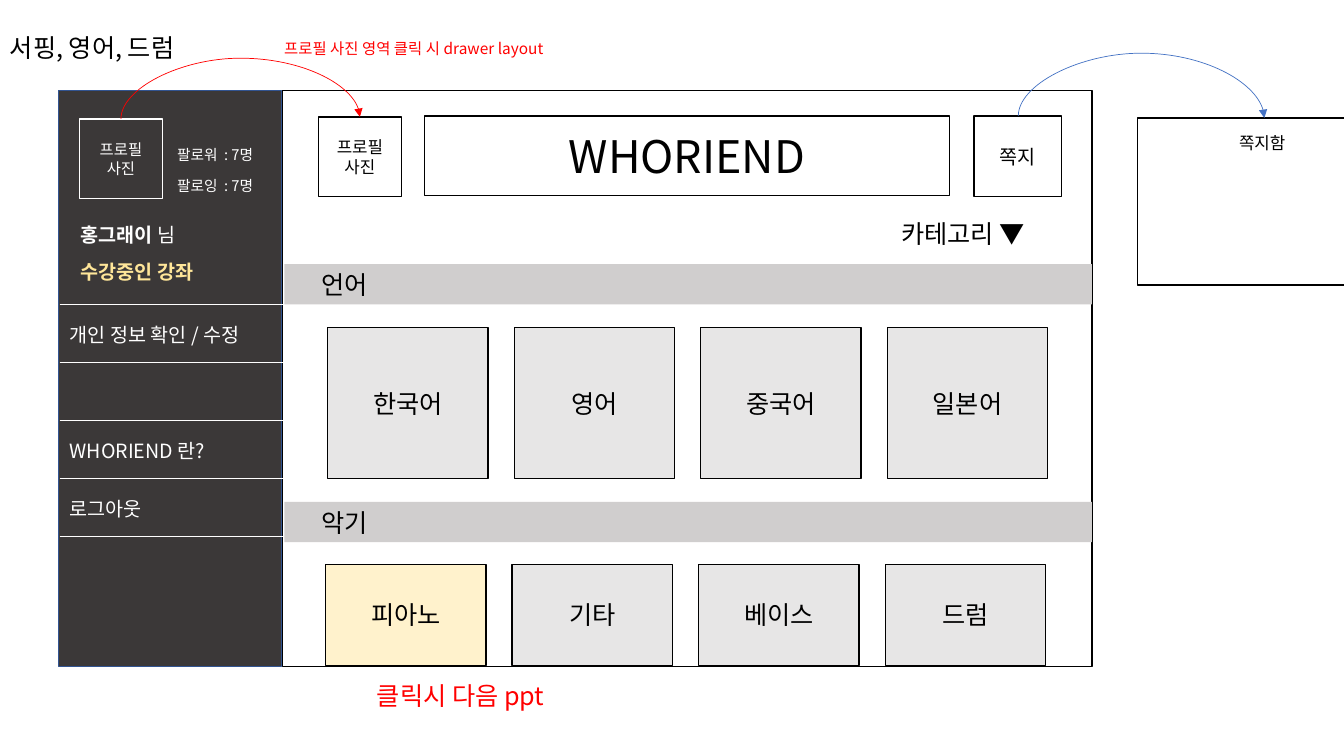
from lxml.etree import SubElement
from pptx import Presentation
from pptx.dml.color import RGBColor
from pptx.enum.shapes import MSO_CONNECTOR as Connector, MSO_SHAPE as Shape
from pptx.enum.text import MSO_ANCHOR as Anchor, MSO_AUTO_SIZE as AutoSize, PP_ALIGN as Align
from pptx.oxml import parse_xml
from pptx.oxml.ns import nsdecls, qn
from pptx.util import Inches, Pt

FONT = "Noto Sans CJK KR"
BLACK, WHITE, RED, BLUE = "000000", "FFFFFF", "FF0000", "4472C4"
DARK, NAVY, GRAY, LIGHT = "3B3838", "325491", "D0CECE", "E7E6E6"
CREAM, GOLD = "FFF2CC", "FFE699"
NO_STYLE = "{2D5ABB26-0587-4C30-8999-92F81FD0307C}"


def color(target, hex_color):
    """Give a fill or a line fill a solid colour, or none at all."""
    if hex_color:
        target.solid()
        target.fore_color.rgb = RGBColor.from_string(hex_color)
    else:
        target.background()


def write(frame, *parts, size=18, ink=BLACK, align=Align.LEFT, anchor=Anchor.TOP, wrap=True):
    """Write one paragraph of (text, bold) parts into a text frame."""
    frame.auto_size = AutoSize.NONE
    frame.word_wrap = wrap
    frame.vertical_anchor = anchor
    paragraph = frame.paragraphs[0]
    paragraph.alignment = align
    for text, bold in parts:
        run = paragraph.add_run()
        run.text = text
        font = run.font
        font.name, font.size, font.bold = FONT, Pt(size), bold
        font.color.rgb = RGBColor.from_string(ink)
        SubElement(font._element, qn("a:ea"), typeface=FONT)


def outline(shape, fill, line):
    """Set the fill and the one-point line of a shape."""
    color(shape.fill, fill)
    color(shape.line.fill, line)
    if line:
        shape.line.width = Pt(1)


def block(slide, box, text="", fill=None, line=BLACK, **style):
    """Add a rectangle with centred text."""
    shape = slide.shapes.add_shape(Shape.RECTANGLE, *map(Inches, box))
    shape.shadow.inherit = False
    outline(shape, fill, line)
    if text:
        write(shape.text_frame, (text, False),
              **{"align": Align.CENTER, "anchor": Anchor.MIDDLE, **style})
    return shape


def label(slide, box, *parts, wrap=False, **style):
    """Add a text box."""
    text_box = slide.shapes.add_textbox(*map(Inches, box))
    write(text_box.text_frame, *parts, wrap=wrap, **style)


def arc(slide, start, end, depth, hex_color):
    """Add a curved arrow that bulges upwards between two points."""
    (x1, y1), (x2, y2) = start, end
    center_x, center_y = (x1 + x2) / 2, (y1 + y2) / 2
    half_drop, half_span = abs(y2 - y1) / 2, (x2 - x1) / 2
    sign = 1 if y1 > y2 else -1
    ends = (center_x + half_drop, center_y + sign * half_span,
            center_x - half_drop, center_y - sign * half_span)
    arrow = slide.shapes.add_connector(Connector.CURVE, *map(Inches, ends))
    color(arrow.line.fill, hex_color)
    arrow.line.width = Pt(0.5)
    SubElement(arrow.line._get_or_add_ln(), qn("a:tailEnd"), type="triangle")
    properties = arrow._element.spPr
    SubElement(properties, qn("a:effectLst"))
    properties.find(qn("a:xfrm")).set("rot", str((90 if sign > 0 else 270) * 60000))
    bulge = round(sign * depth / (2 * half_drop) * 100000)
    guides = properties.find(qn("a:prstGeom")).get_or_add_avLst()
    SubElement(guides, qn("a:gd"), name="adj1", fmla=f"val {bulge}")


def header(slide, box):
    """Place the app title, the profile and message buttons and the category menu."""
    left, top, width, height = box
    title = slide.shapes.title
    title.left, title.top, title.width, title.height = map(
        Inches, (left + 1.41, top + 0.25, 5.21, 0.79))
    outline(title, WHITE, BLACK)
    write(title.text_frame, ("WHORIEND", False), size=32,
          align=Align.CENTER, anchor=Anchor.MIDDLE)
    block(slide, (left + 0.36, top + 0.26, 0.82, 0.79), "프로필 사진", size=12)
    block(slide, (left + 6.86, top + 0.25, 0.87, 0.8), "쪽지", WHITE, size=14)
    label(slide, (left + 6.04, top + 1.22, 1.55, 0.4), ("카테고리 ▼", False))


def category(slide, box, name, courses, inset, gap, picked=None):
    """Place a category band with a row of course cards that fills the box below it."""
    left, top, width, height = box
    band = block(slide, (left, top, width, 0.4), name, GRAY, None, align=Align.LEFT)
    band.text_frame.margin_left = Inches(0.37)
    card_top = 0.4 + gap
    for column, course in enumerate(courses):
        block(slide, (left + inset + 1.85 * column, top + card_top, 1.59, height - card_top),
              course, CREAM if course == picked else LIGHT)


def menu(slide, box, entries):
    """Place the drawer menu as a table with white rules."""
    frame = slide.shapes.add_table(len(entries), 1, *map(Inches, box))
    table = frame.table
    table.first_row = table.horz_banding = False
    table._tbl.tblPr.find(qn("a:tableStyleId")).text = NO_STYLE
    for row, entry in enumerate(entries):
        cell = table.cell(row, 0)
        cell.fill.background()
        cell.vertical_anchor = Anchor.MIDDLE
        if entry:
            write(cell.text_frame, (entry, False), size=14, ink=WHITE, anchor=Anchor.MIDDLE)
        edges = ["lnT"] if row == len(entries) - 1 else ["lnT", "lnB"]
        for position, edge in enumerate(edges):
            rule = parse_xml(f'<a:{edge} {nsdecls("a")} w="6350"><a:solidFill>'
                             f'<a:srgbClr val="{WHITE}"/></a:solidFill></a:{edge}>')
            cell._tc.get_or_add_tcPr().insert(position, rule)


def drawer(slide, box):
    """Place the side drawer with profile, follower counts and menu."""
    left, top, width, height = box
    block(slide, box, fill=DARK, line=NAVY)
    block(slide, (left + 0.21, top + 0.28, 0.82, 0.79), "프로필 사진",
          line=WHITE, size=11, ink=WHITE)
    label(slide, (left + 0.12, top + 1.26, 1.25, 0.34),
          ("홍그래이 ", True), ("님", False), size=14, ink=WHITE)
    label(slide, (left + 0.12, top + 1.63, 1.45, 0.34),
          ("수강중인 강좌", True), size=14, ink=GOLD)
    for row, count in enumerate(["팔로워  : 7명", "팔로잉  : 7명"]):
        label(slide, (left + 1.08, top + 0.5 + 0.3 * row, 1.06, 0.28),
              (count, False), size=10.5, ink=WHITE)
    menu(slide, (left + 0.01, top + 2.12, 2.22, 2.88),
         ["개인 정보 확인 / 수정", "", "WHORIEND 란?", "로그아웃", ""])


def message_box(slide, box):
    """Place the message inbox panel."""
    left, top, width, height = box
    block(slide, box, fill=WHITE)
    label(slide, (left + 0.91, top + 0.1, 0.71, 0.3), ("쪽지함", False), size=12)


def notes_and_arrows(slide, box):
    """Place the remarks around the mock-up and the two click arrows."""
    left, top, width, height = box
    label(slide, (left, top + 0.27, 2.02, 0.4), ("서핑, 영어, 드럼", False), wrap=True)
    label(slide, (left + 2.72, top + 0.34, 3.03, 0.29),
          ("프로필 사진 영역 클릭 시 drawer layout ", False), size=11, ink=RED)
    label(slide, (left + 3.64, top + 6.7, 2.03, 0.4), ("클릭시 다음 ppt", False), ink=RED)
    arc(slide, (left + 1.2, top + 1.18), (left + 3.57, top + 1.16), 0.6, RED)
    arc(slide, (left + 10.1, top + 1.15), (left + 12.54, top + 1.17), 0.62, BLUE)


def main():
    """Build and save the slide."""
    deck = Presentation()
    deck.slide_width, deck.slide_height = Inches(13.33), Inches(7.5)
    slide = deck.slides.add_slide(deck.slide_layouts[5])
    screen = (2.8, 0.9, 8.03, 5.71)
    block(slide, screen)
    header(slide, screen)
    category(slide, (2.82, 2.62, 8.01, 2.13), "언어",
             ["한국어", "영어", "중국어", "일본어"], 0.43, 0.23)
    category(slide, (2.82, 4.98, 8.01, 1.62), "악기",
             ["피아노", "기타", "베이스", "드럼"], 0.41, 0.22, "피아노")
    drawer(slide, (0.58, 0.9, 2.21, 5.71))
    message_box(slide, (11.28, 1.17, 2.53, 1.66))
    notes_and_arrows(slide, (0, 0, 13.33, 7.5))
    deck.save("out.pptx")


main()
